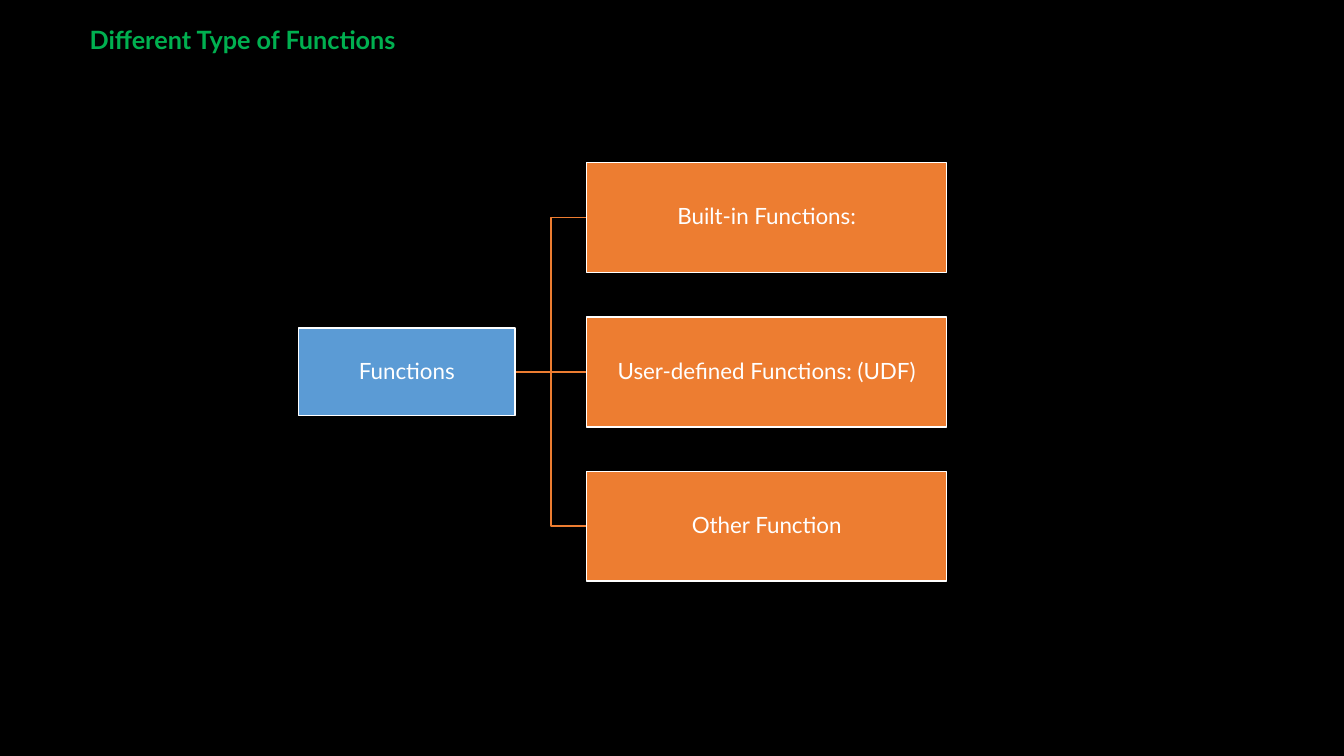
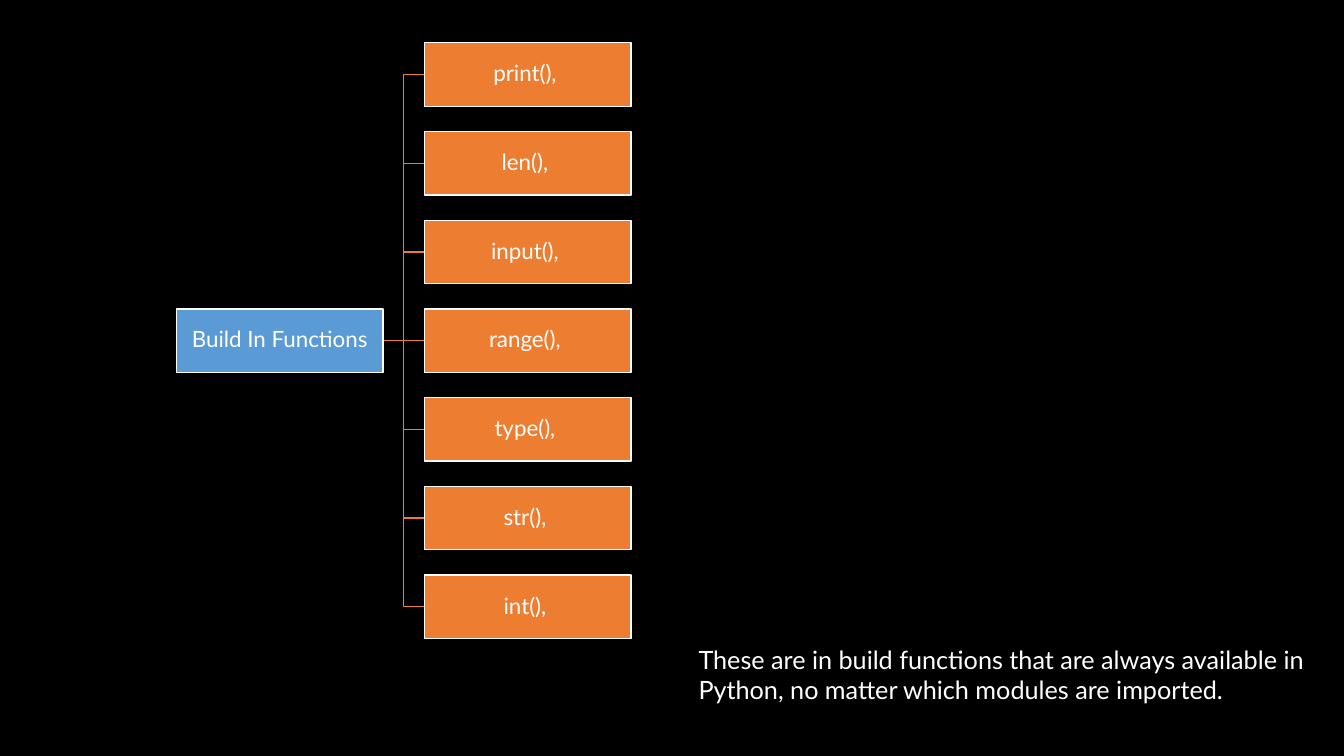
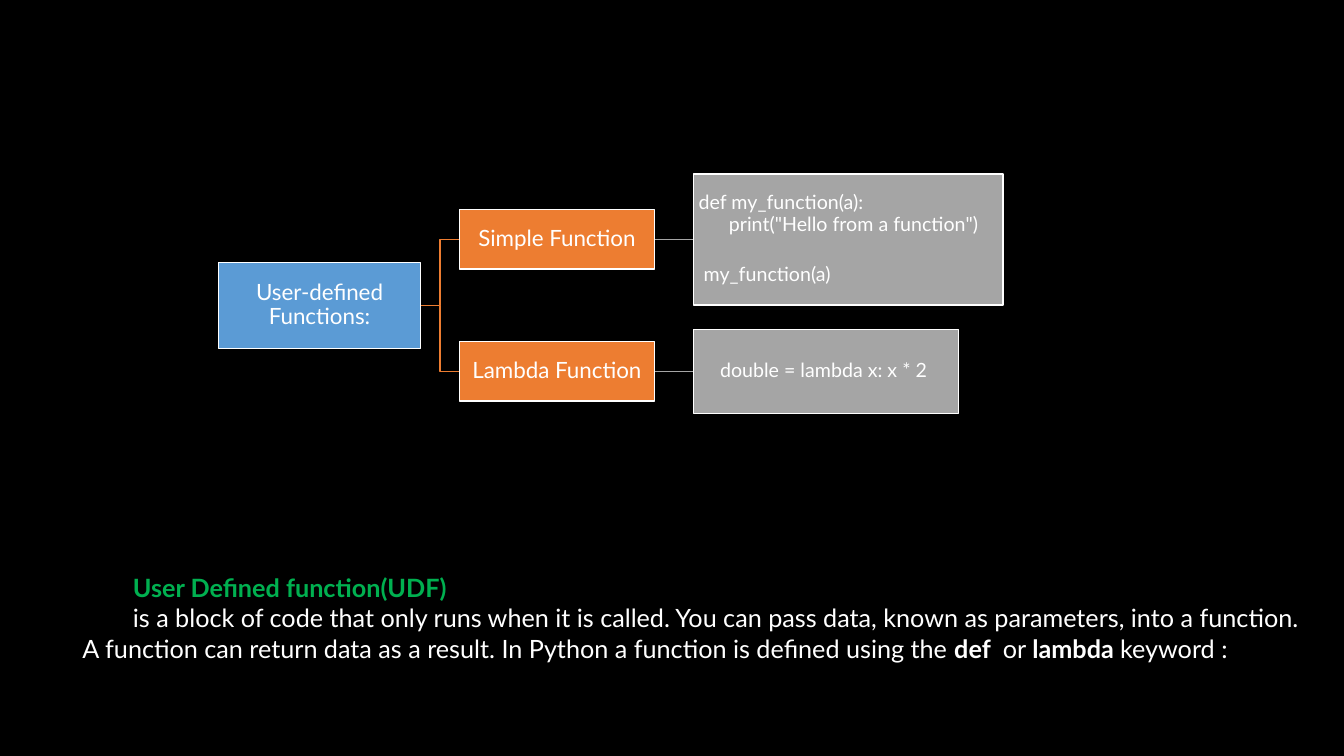
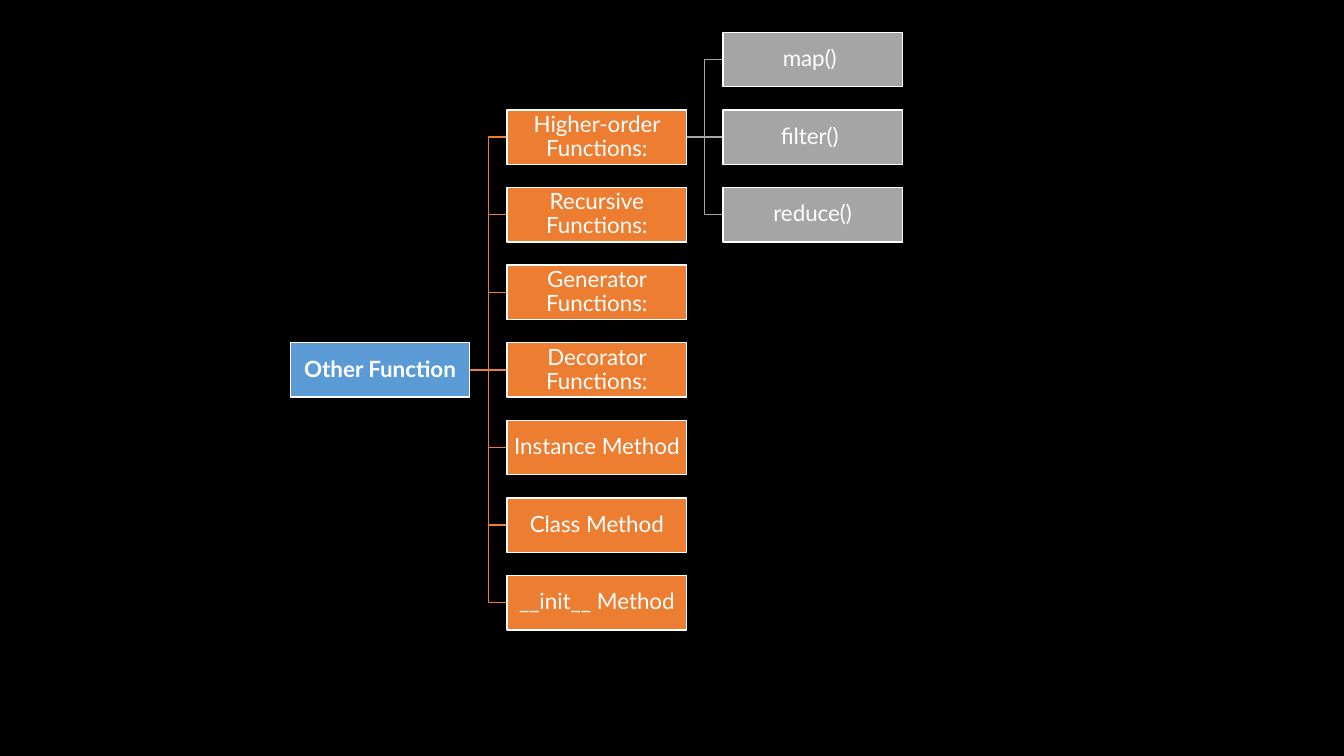
"""Four slides on the types of Python functions, drawn as left-to-right trees."""
import pptx
import pptx.util
import pptx.dml.color
import pptx.enum.shapes
import pptx.enum.text
import pptx.oxml.ns
from lxml import etree

Inches, Pt = pptx.util.Inches, pptx.util.Pt
FONT = "Lato"
COLORS = {"back": "000000", "text": "FFFFFF", "title": "00B050",
          "root": "5B9BD5", "branch": "ED7D31", "leaf": "A5A5A5"}
LEVELS = ("root", "branch", "leaf")
RIGHT, LEFT = 3, 1


def node(text, *kids, size=None, pt=16, bold=False):
    """Describe one box of a tree and the boxes that hang from it."""
    return {"text": text, "kids": kids, "size": size, "pt": pt, "bold": bold}


CODE = [("def my_function(a):", 0.04, 0),
        ("print(\"Hello from a function\")", 0.34, 0),
        ("my_function(a)", 0.09, 21)]

SLIDES = [
    {"tree": node("Functions", node("Built-in Functions:"),
                  node("User-defined Functions: (UDF)"), node("Other Function")),
     "middle": 3.69, "pitch": 1.53,
     "columns": [(2.96, 2.15, 0.87), (5.82, 3.57, 1.09)],
     "note": {"at": (0.29, 0.19, 12.79, 0.4), "indent": 0.5,
              "paragraphs": [[("Different Type of Functions", "title", True)]]}},
    {"tree": node("Build In Functions",
                  *map(node, ("print(), ", "len(), ", "input(), ", "range(), ",
                              "type(), ", "str(), ", "int(), "))),
     "middle": 3.38, "pitch": 0.88,
     "columns": [(1.75, 2.05, 0.63), (4.21, 2.05, 0.63)],
     "note": {"at": (6.83, 6.34, 6.67, 0.71), "indent": 0,
              "paragraphs": [[("These are in build functions that are always available in "
                               "Python, no matter which modules are imported.", "text", False)]]}},
    {"tree": node("User-defined Functions:",
                  node("Simple Function", node(CODE, size=(3.07, 1.3), pt=14)),
                  node("Lambda Function", node("double = lambda x: x * 2 ", pt=14))),
     "middle": 3.03, "pitch": 1.31,
     "columns": [(2.17, 2, 0.85), (4.56, 1.93, 0.59), (6.88, 2.63, 0.83)],
     "note": {"at": (0.72, 5.63, 12.47, 1.01), "indent": 0.5,
              "paragraphs": [
                  [("User Defined function(UDF)", "title", True)],
                  [("is a block of code that only runs when it is called. You can pass data, "
                    "known as parameters, into a function. A function can return data as a "
                    "result. In Python a function is defined using the ", "text", False),
                   ("def ", "text", True), (" or ", "text", False),
                   ("lambda ", "text", True), ("keyword :", "text", False)]]}},
    {"tree": node("Other Function",
                  node("Higher-order Functions:", node("map() "), node("filter() "),
                       node("reduce()")),
                  *map(node, ("Recursive Functions:", "Generator Functions:",
                              "Decorator Functions:", "Instance Method", "Class Method",
                              "__init__ Method")), bold=True),
     "middle": 3.67, "pitch": 0.77,
     "columns": [(2.88, 1.78, 0.54), (5.03, 1.78, 0.54), (7.17, 1.78, 0.54)]},
]


def rgb(name):
    return pptx.dml.color.RGBColor.from_string(COLORS[name])


def set_font(font, size, color="text", bold=False):
    font.name, font.size, font.bold = FONT, Pt(size), bold
    font.color.rgb = rgb(color)


def set_indent(p, **indents):
    for name, inches in indents.items():
        p._p.get_or_add_pPr().set(name, str(Inches(inches)))


def add_box(s, item, level, x, middle, w, h):
    sp = s.shapes.add_shape(pptx.enum.shapes.MSO_SHAPE.RECTANGLE, Inches(x),
                            Inches(middle - h / 2), Inches(w), Inches(h))
    sp.shadow.inherit = False
    sp.fill.solid()
    sp.fill.fore_color.rgb = rgb(LEVELS[level])
    sp.line.color.rgb = rgb("text")
    sp.line.width = Pt(1)
    tf = sp.text_frame
    tf.word_wrap = True
    tf.vertical_anchor = pptx.enum.text.MSO_ANCHOR.MIDDLE
    tf.margin_left = tf.margin_right = tf.margin_top = tf.margin_bottom = Inches(0.01)
    centred = isinstance(item["text"], str)
    lines = [(item["text"], 0, 0)] if centred else item["text"]
    for i, (text, indent, before) in enumerate(lines):
        p = tf.add_paragraph() if i else tf.paragraphs[0]
        p.text = text
        p.alignment = pptx.enum.text.PP_ALIGN.CENTER if centred else pptx.enum.text.PP_ALIGN.LEFT
        p.line_spacing = 0.9
        p.space_before = Pt(before)
        set_indent(p, marL=indent)
        set_font(p.font, item["pt"], bold=item["bold"])
    return sp


def join(s, parent, child, level, straight):
    kinds = pptx.enum.shapes.MSO_CONNECTOR
    cx = s.shapes.add_connector(kinds.STRAIGHT if straight else kinds.ELBOW, 0, 0, 0, 0)
    cx.begin_connect(parent, RIGHT)
    cx.end_connect(child, LEFT)
    cx.line.color.rgb = rgb(LEVELS[level])
    cx.line.width = Pt(1)
    etree.SubElement(cx._element.spPr, pptx.oxml.ns.qn("a:effectLst"))
    s.shapes._spTree.insert(2, cx._element)


def add_tree(s, item, columns, pitch, middle, level=0):
    x, w, h = columns[level]
    w, h = item["size"] or (w, h)
    sp = add_box(s, item, level, x, middle, w, h)
    centre = (len(item["kids"]) - 1) / 2
    for i, kid in enumerate(item["kids"]):
        child = add_tree(s, kid, columns, pitch, middle + (i - centre) * pitch, level + 1)
        join(s, sp, child, level + 1, i == centre)
    return sp


def add_note(s, note):
    tf = s.shapes.add_textbox(*map(Inches, note["at"])).text_frame
    tf.word_wrap = True
    tf.auto_size = pptx.enum.text.MSO_AUTO_SIZE.SHAPE_TO_FIT_TEXT
    for i, runs in enumerate(note["paragraphs"]):
        p = tf.add_paragraph() if i else tf.paragraphs[0]
        set_indent(p, marL=0, indent=note["indent"])
        for text, color, bold in runs:
            r = p.add_run()
            r.text = text
            set_font(r.font, 18, color, bold)


def main():
    prs = pptx.Presentation()
    prs.slide_width, prs.slide_height = Inches(13.33), Inches(7.5)
    back = prs.slide_master.background.fill
    back.solid()
    back.fore_color.rgb = rgb("back")
    for page in SLIDES:
        s = prs.slides.add_slide(prs.slide_layouts[6])
        add_tree(s, page["tree"], page["columns"], page["pitch"], page["middle"])
        if "note" in page:
            add_note(s, page["note"])
    prs.save("out.pptx")


if __name__ == "__main__":
    main()
